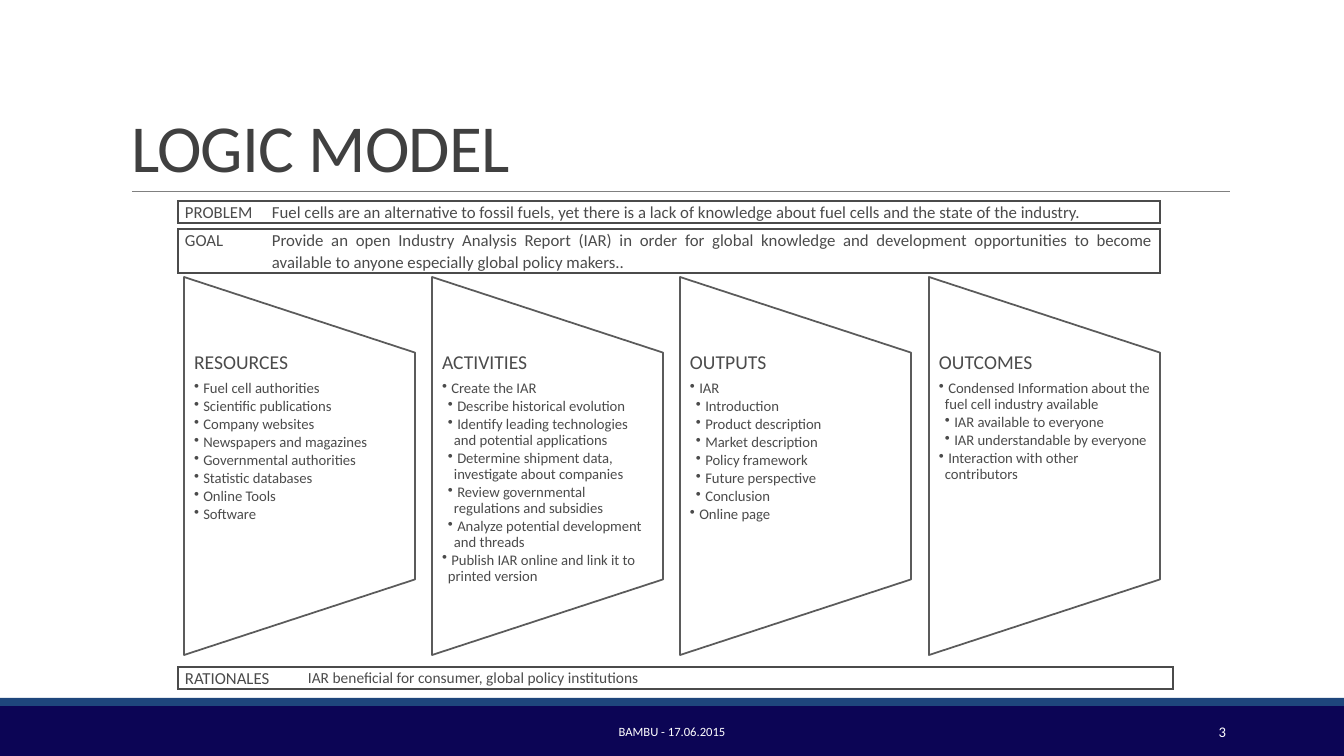
import pptx
import pptx.util
import pptx.dml.color
import pptx.enum.shapes
import pptx.enum.text
import pptx.oxml
import pptx.oxml.ns
import lxml.etree

SCALE = 914400 / 100.8
FONT = "Calibri"
HUES = {"navy": "0C0555", "blue": "1E467C", "rule": "808080", "title": "404040",
        "text": "4B4B4B", "edge": "5B5B5B", "white": "FFFFFF"}
shapes = pptx.enum.shapes.MSO_SHAPE
align = pptx.enum.text.PP_ALIGN
anchor = pptx.enum.text.MSO_ANCHOR
qn = pptx.oxml.ns.qn
rgb = pptx.dml.color.RGBColor.from_string


def px(*nums):
    """Turn pixels into EMU, one number or several."""
    emus = [pptx.util.Emu(round(n * SCALE)) for n in nums]
    return emus if len(emus) > 1 else emus[0]


def write(par, text, size, hue, side=align.LEFT, space=1.0):
    """Add one run to a paragraph and format both."""
    par.alignment = side
    par.line_spacing = space
    run = par.add_run()
    run.text = text
    run.font.name = FONT
    run.font.size = pptx.util.Pt(size)
    run.font.color.rgb = rgb(HUES[hue])
    return run


deck = pptx.Presentation()
deck.slide_width, deck.slide_height = px(1344, 756)
slide = deck.slides.add_slide(deck.slide_layouts[5])

# Footer bands and title rule
for top, high, hue in [(706, 50, "navy"), (698, 8, "blue")]:
    band = slide.shapes.add_shape(shapes.RECTANGLE, *px(0, top, 1344, high))
    band.shadow.inherit = False
    band.fill.solid()
    band.fill.fore_color.rgb = rgb(HUES[hue])
    band.line.fill.background()

rule = slide.shapes.add_connector(
    pptx.enum.shapes.MSO_CONNECTOR.STRAIGHT, *px(132, 191, 1230, 191))
rule.line.color.rgb = rgb(HUES["rule"])
rule.line.width = pptx.util.Pt(0.5)
lxml.etree.SubElement(rule._element.spPr, qn("a:effectLst"))

# Title
title = slide.shapes.title
title.left, title.top, title.width, title.height = px(121, 31, 1109, 160)
frame = title.text_frame
frame.auto_size = pptx.enum.text.MSO_AUTO_SIZE.NONE
frame.vertical_anchor = anchor.BOTTOM
run = write(frame.paragraphs[0], "LOGIC MODEL", 48, "title", space=0.85)
run.font._element.set("spc", "-50")

# Framed tables: an empty row is a gap between frames
tables = [
    (201, [87, 895], [22, 6, 44], 12, [
        ("PROBLEM", "Fuel cells are an alternative to fossil fuels, yet there is a lack of "
                    "knowledge about fuel cells and the state of the industry."),
        ("", ""),
        ("GOAL", "Provide an open Industry Analysis Report (IAR) in order for global knowledge "
                 "and development opportunities to become available to anyone especially "
                 "global policy makers..")]),
    (667, [123, 872], [22], 11, [
        ("RATIONALES", "IAR beneficial for consumer, global policy institutions")]),
]
for top, wides, highs, size, rows in tables:
    grid = slide.shapes.add_table(
        len(rows), 2, *px(178, top, sum(wides), sum(highs))).table
    grid.first_row = grid.horz_banding = False
    for col, wide in zip(grid.columns, wides):
        col.width = px(wide)
    for r, (high, texts) in enumerate(zip(highs, rows)):
        grid.rows[r].height = px(high)
        for c, text in enumerate(texts):
            cell = grid.cell(r, c)
            cell.margin_left = cell.margin_right = px(7)
            cell.margin_top = cell.margin_bottom = 0
            cell.fill.background()
            par = cell.text_frame.paragraphs[0]
            if text:
                write(par, text, size if c else 12, "text", align.JUSTIFY, 1.07)
            else:
                lxml.etree.SubElement(par._p, qn("a:endParaRPr")).set("sz", "100")
            shown = "TB" + ("LR"[c] if text else "")
            props = cell._tc.get_or_add_tcPr()
            for i, edge in enumerate("LRTB"):
                line = lxml.etree.Element(qn("a:ln" + edge), w="12700")
                if edge in shown:
                    fill = lxml.etree.SubElement(line, qn("a:solidFill"))
                    lxml.etree.SubElement(fill, qn("a:srgbClr")).set("val", HUES["text"])
                else:
                    lxml.etree.SubElement(line, qn("a:noFill"))
                props.insert(i, line)

# Four stages, each with a heading and bullets given as (level, text)
stages = [
    ("RESOURCES", [
        (1, "Fuel cell authorities"), (1, "Scientific publications"),
        (1, "Company websites"), (1, "Newspapers and magazines"),
        (1, "Governmental authorities"), (1, "Statistic databases"),
        (1, "Online Tools"), (1, "Software")]),
    ("ACTIVITIES", [
        (1, "Create the IAR"), (2, "Describe historical evolution"),
        (2, "Identify leading technologies and potential applications"),
        (2, "Determine shipment data, investigate about companies"),
        (2, "Review governmental regulations and subsidies"),
        (2, "Analyze potential development and threads"),
        (1, "Publish IAR online and link it to printed version")]),
    ("OUTPUTS", [
        (1, "IAR"), (2, "Introduction"), (2, "Product description"),
        (2, "Market description"), (2, "Policy framework"),
        (2, "Future perspective"), (2, "Conclusion"), (1, "Online page")]),
    ("OUTCOMES", [
        (1, "Condensed Information about the fuel cell industry available"),
        (2, "IAR available to everyone"), (2, "IAR understandable by everyone"),
        (1, "Interaction with other contributors")]),
]
WIDE, TALL, TOP = 231, 378, 277
turn = (TALL - WIDE) / 2
for i, (head, items) in enumerate(stages):
    left = 184 + i * 745 // 3
    stage = slide.shapes.add_shape(shapes.FLOWCHART_MANUAL_OPERATION,
                                   *px(left - turn, TOP + turn, TALL, WIDE))
    stage.rotation = 270
    stage.shadow.inherit = False
    stage.fill.solid()
    stage.fill.fore_color.rgb = rgb(HUES["white"])
    stage.line.color.rgb = rgb(HUES["edge"])
    stage.line.width = pptx.util.Pt(1.25)

    frame = slide.shapes.add_textbox(*px(left, 353, WIDE, 227)).text_frame
    frame.word_wrap = True
    frame.margin_left = frame.margin_right = px(10)
    frame.margin_top = frame.margin_bottom = 0
    par = frame.paragraphs[0]
    write(par, head, 14, "text", space=0.9)
    par.space_after = pptx.util.Pt(5)
    for level, text in items:
        par = frame.add_paragraph()
        par.level = level
        write(par, " " + text, 10.5, "text", space=0.9)
        par.space_after = pptx.util.Pt(1.5)
        props = par._p.get_or_add_pPr()
        props.set("marL", str(px(6 * level)))
        props.set("indent", str(px(-6)))
        lxml.etree.SubElement(props, qn("a:buChar")).set("char", "•")

# Footer text
for left, wide, text, size, side in [
        (406, 532, "BAMBU - 17.06.2015", 9, align.CENTER),
        (1092, 144, "3", 10.5, align.RIGHT)]:
    frame = slide.shapes.add_textbox(*px(left, 712, wide, 40)).text_frame
    frame.word_wrap = True
    frame.vertical_anchor = anchor.MIDDLE
    write(frame.paragraphs[0], text, size, "white", side)

deck.save("out.pptx")
